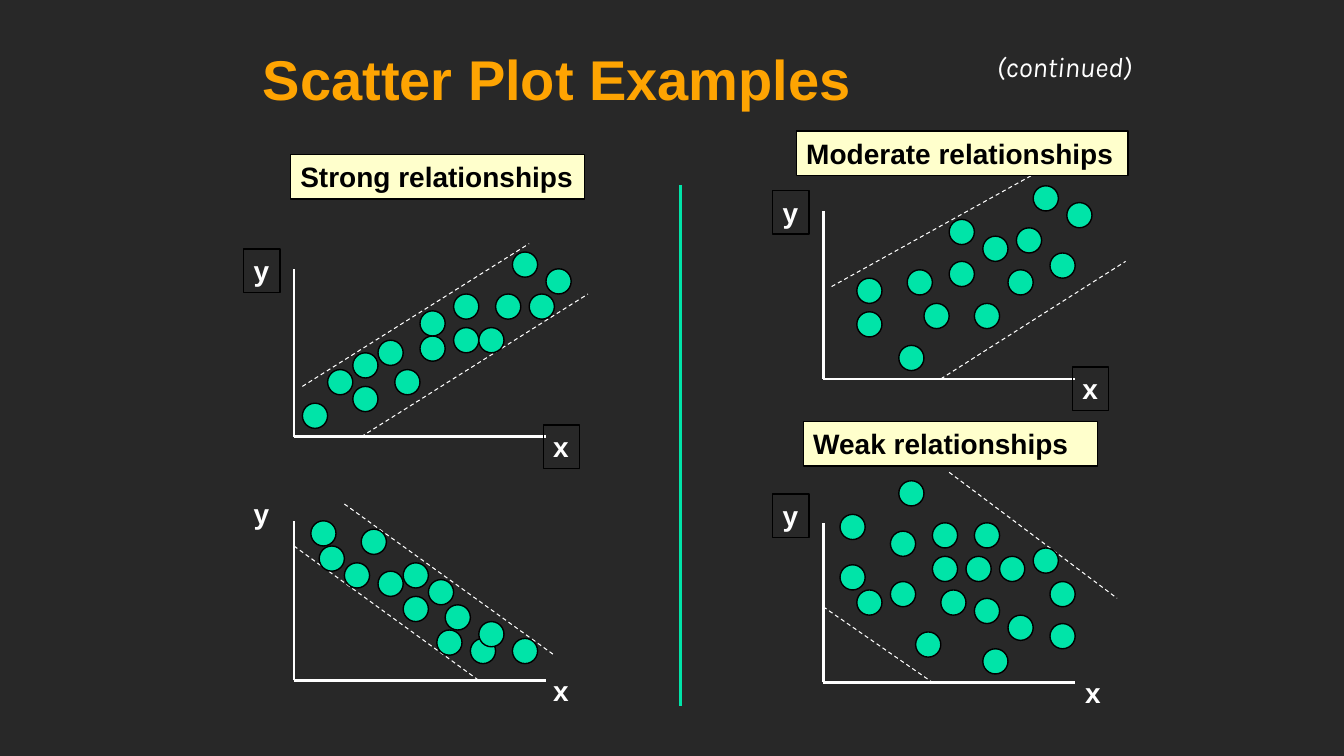
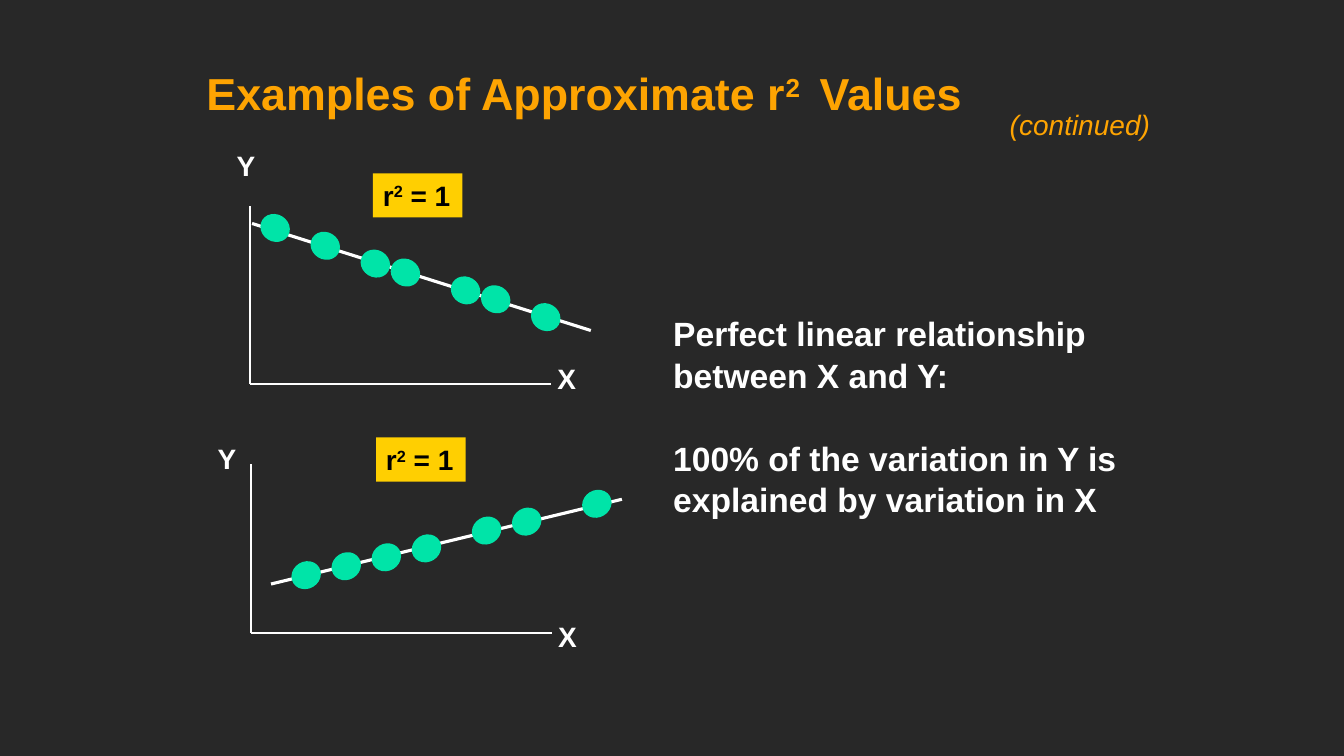
"""Build two dark slides of scatter plot sketches for correlation strength."""
from dataclasses import dataclass

from lxml import etree
from pptx import Presentation
from pptx import util as u
from pptx.dml.color import RGBColor
from pptx.enum import dml, shapes, text
from pptx.oxml.ns import qn

BACKGROUND, WHITE, BLACK = "282828", "FFFFFF", "000000"
ORANGE, GREEN, CREAM, GOLD = "FEA402", "00E4A8", "FFFFCC", "FFCF01"
AXIS_WEIGHT = 2
AXIS_STEPS = 30
DOT_CENTRE = 1.5

BOLD = {"size": u.Pt(20), "name": "Arial", "bold": True}
ITALIC = {"size": u.Pt(20), "name": "Arial", "italic": True}
KARLA = ITALIC | {"name": "Karla"}
TITLE = BOLD | {"size": u.Pt(40)}
SMALL_TITLE = BOLD | {"size": u.Pt(32)}
BODY = BOLD | {"size": u.Pt(24)}


@dataclass(frozen=True)
class Label:
    wording: str
    left: float
    top: float
    width: float = 26
    height: float = 31
    font: dict | None = None
    color: str = WHITE
    fill: str | None = None
    border: str | None = None
    wrap: bool = True
    bottom: bool = False
    line_spacing: float = 1
    gap: float = 0


@dataclass(frozen=True)
class Style:
    step_x: float
    step_y: float
    dot_width: float
    dot_height: float
    outline: str | None
    guide_weight: float
    dashed: bool


@dataclass(frozen=True)
class Plot:
    left: float
    base: float
    steps_high: int
    dots: tuple
    guides: tuple
    labels: tuple
    tilt: float = 0


def rgb(color: str) -> RGBColor:
    return RGBColor.from_string(color)


def paint(shape, fill: str | None, border: str | None) -> None:
    if fill:
        shape.fill.solid()
        shape.fill.fore_color.rgb = rgb(fill)
    else:
        shape.fill.background()
    if border:
        shape.line.color.rgb = rgb(border)
        shape.line.width = u.Pt(1)
    else:
        shape.line.fill.background()


def add_label(slide, label: Label) -> None:
    box = slide.shapes.add_textbox(
        u.Pt(label.left), u.Pt(label.top), u.Pt(label.width), u.Pt(label.height))
    paint(box, label.fill, label.border)
    frame = box.text_frame
    frame.word_wrap = label.wrap
    frame.auto_size = text.MSO_AUTO_SIZE.NONE if label.bottom else text.MSO_AUTO_SIZE.SHAPE_TO_FIT_TEXT
    frame.vertical_anchor = text.MSO_ANCHOR.BOTTOM if label.bottom else text.MSO_ANCHOR.TOP
    for row, wording in enumerate(label.wording.split("\n")):
        paragraph = frame.add_paragraph() if row else frame.paragraphs[0]
        if label.line_spacing != 1:
            paragraph.line_spacing = label.line_spacing
        if row:
            paragraph.space_before = u.Pt(label.gap)
        for part, piece in enumerate(wording.split("^")):
            run = paragraph.add_run()
            run.text = piece
            for name, value in (label.font or BOLD).items():
                setattr(run.font, name, value)
            run.font.color.rgb = rgb(label.color)
            if part % 2:
                run._r.get_or_add_rPr().set("baseline", "30000")


def add_line(slide, start: tuple, end: tuple, weight: float,
             color: str = WHITE, dashed: bool = False) -> None:
    line = slide.shapes.add_connector(
        shapes.MSO_CONNECTOR.STRAIGHT, *(u.Pt(value) for value in (*start, *end)))
    line.line.color.rgb = rgb(color)
    line.line.width = u.Pt(weight)
    if dashed:
        line.line.dash_style = dml.MSO_LINE.DASH
    etree.SubElement(line._element.spPr, qn("a:effectLst"))


def add_plot(slide, plot: Plot, style: Style) -> None:
    def at(across: float, up: float) -> tuple:
        return plot.left + across * style.step_x, plot.base - up * style.step_y

    for end in ((0, plot.steps_high), (AXIS_STEPS, 0)):
        add_line(slide, at(0, 0), at(*end), AXIS_WEIGHT)
    for start, end in plot.guides:
        add_line(slide, at(*start), at(*end), style.guide_weight, dashed=style.dashed)
    for across, up in plot.dots:
        x, y = at(across + DOT_CENTRE, up - DOT_CENTRE)
        dot = slide.shapes.add_shape(
            shapes.MSO_SHAPE.OVAL, u.Pt(x - style.dot_width / 2), u.Pt(y - style.dot_height / 2),
            u.Pt(style.dot_width), u.Pt(style.dot_height))
        dot.shadow.inherit = False
        dot.rotation = plot.tilt
        paint(dot, GREEN, style.outline)
    for label in plot.labels:
        add_label(slide, label)


def caption(wording: str, left: float, top: float, width: float = 210) -> Label:
    return Label(wording, left, top, width, 32, color=BLACK, fill=CREAM, border=BLACK)


def axis_name(wording: str, left: float, top: float) -> Label:
    return Label(wording, left, top, 28, wrap=False)


def r_squared(left: float, top: float) -> Label:
    return Label("r^2^ = 1", left, top, 64, 31.5, color=BLACK, fill=GOLD, wrap=False)


RELATIONSHIP_STYLE = Style(6, 6, 18, 18, BLACK, 0.75, True)
FIT_STYLE = Style(7.16, 6.37, 19.4, 21.6, None, 2.25, False)

RELATIONSHIP_PLOTS = (
    Plot(210, 486, 19,
         ((21, 5), (3, 16), (26, 5), (8, 18), (18, 9), (22, 7), (13, 14), (2, 19), (6, 14),
          (10, 13), (17, 6), (16, 12), (13, 10)),
         (((6, 21), (31, 3)), ((0, 16), (22, 0))),
         (Label("y", 174, 351.4), Label("x", 388, 477.4))),
    Plot(210, 312, 20,
         ((1, 4), (4, 8), (26, 22), (28, 17), (7, 6), (30, 20), (19, 13), (19, 17), (24, 17),
          (15, 15), (7, 10), (10, 11.5), (22, 13), (15, 12), (12, 8)),
         (((1, 6), (28, 23)), ((8, 0), (35, 17))),
         (Label("y", 174, 177.8, border=BLACK), Label("x", 388, 303.6, border=BLACK),
          caption("Strong relationships", 207.4, 110.2))),
    Plot(588, 270.7, 20,
         ((15, 19), (4, 8), (18, 9), (23, 18), (9, 4), (12, 9), (19, 17), (4, 12), (10, 13),
          (22, 13), (15, 14), (29, 21), (27, 15), (25, 23)),
         (((1, 11), (26.2, 25)), ((14, 0), (36, 14))),
         (Label("y", 552, 136.1, border=BLACK), Label("x", 766, 262.1, border=BLACK),
          caption("Moderate relationships", 568.8, 93.6, 237))),
    Plot(588, 487.4, 19,
         ((2, 14), (2, 20), (8, 12), (19, 4), (4, 11), (13, 19), (18, 10), (17, 15), (13, 15),
          (8, 18), (21, 15), (14, 11), (11, 6), (22, 8), (27, 12), (25, 16), (27, 7), (18, 19),
          (9, 24)),
         (((15, 25), (35, 10)), ((0, 9), (13, 0))),
         (Label("y", 552, 352.8, border=BLACK), Label("x", 768, 478.8),
          caption("Weak relationships", 573.8, 301))),
)

FIT_PLOTS = (
    Plot(178.6, 274.3, 20,
         ((1, 19), (6, 17), (11, 15), (14, 14), (20, 12), (23, 11), (28, 9)),
         (((0.2, 18), (34, 6)),),
         (axis_name("Y", 162, 102.2), axis_name("X", 391, 254.9), r_squared(266.4, 123.8)),
         121.4),
    Plot(179.3, 452.2, 19,
         ((4, 8), (8, 9), (12, 10), (16, 11), (22, 13), (26, 14), (33, 16)),
         (((2, 5.5), (37, 15)),),
         (axis_name("Y", 148.3, 311.8), axis_name("X", 391.7, 439.2), r_squared(268.6, 312.5)),
         238.6),
)

RELATIONSHIP_TEXTS = (
    Label("Scatter Plot Examples", 180.7, 23.8, 440.6, 59.8, TITLE, ORANGE, bottom=True),
    Label("(continued)", 704.9, 31.7, 116, 31, KARLA),
)

FIT_TEXTS = (
    Label("Examples of Approximate r^2 ^ Values", 140.4, 10.8, 586, 77.8, SMALL_TITLE, ORANGE,
          bottom=True, line_spacing=0.8),
    Label("Perfect linear relationship between X and Y:\n"
          "100% of the variation in Y is explained by variation in X",
          473.8, 218.9, 347.8, 152.6, BODY, line_spacing=1.04, gap=29),
    Label("(continued)", 714.2, 73.4, 116, 31, ITALIC, ORANGE),
)


def add_slide(deck, texts: tuple, plots: tuple, style: Style):
    slide = deck.slides.add_slide(deck.slide_layouts[6])
    slide.background.fill.solid()
    slide.background.fill.fore_color.rgb = rgb(BACKGROUND)
    for plot in plots:
        add_plot(slide, plot, style)
    for label in texts:
        add_label(slide, label)
    return slide


def main() -> None:
    deck = Presentation()
    deck.slide_width, deck.slide_height = u.Pt(960), u.Pt(540)
    relationships = add_slide(deck, RELATIONSHIP_TEXTS, RELATIONSHIP_PLOTS, RELATIONSHIP_STYLE)
    add_line(relationships, (486, 132), (486, 504), 2.25, GREEN)
    add_slide(deck, FIT_TEXTS, FIT_PLOTS, FIT_STYLE)
    deck.save("out.pptx")


if __name__ == "__main__":
    main()
